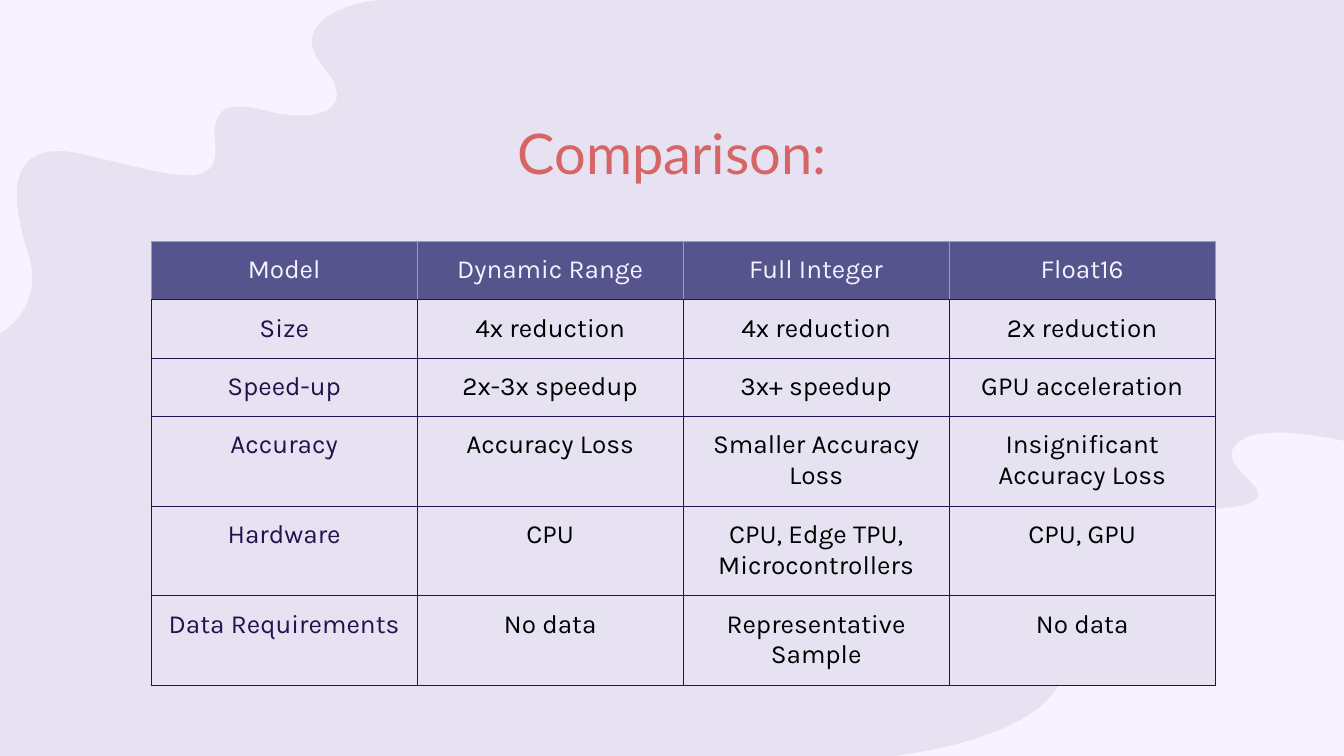
from lxml import etree
from pptx import Presentation
from pptx.dml.color import RGBColor
from pptx.enum.text import MSO_ANCHOR, PP_ALIGN
from pptx.oxml.ns import qn
from pptx.util import Pt

CENTER = PP_ALIGN.CENTER
TOP = MSO_ANCHOR.TOP

LAVENDER = RGBColor(0xE7, 0xE2, 0xF2)
PALE = RGBColor(0xF6, 0xF2, 0xFF)
CORAL = RGBColor(0xD6, 0x65, 0x65)
INDIGO = RGBColor(0x56, 0x54, 0x8C)
NAVY = RGBColor(0x20, 0x12, 0x4D)
GRAY = RGBColor(0x9E, 0x9E, 0x9E)
BLACK = RGBColor(0, 0, 0)

INSET = Pt(7.2)

# Outlines in points from the blob's origin: one pair makes a line,
# three pairs make a cubic curve (two controls and an end point).
TOP_LEFT_BLOB = [
    [(15.1, 136.1)],
    [(8.6, 114.5), (-2.9, 71.3), (45.4, 82.8)],
    [(94.3, 94.3), (118.1, 103), (115.2, 76.3)],
    [(112.3, 51.8), (130.3, 56.2), (144.7, 59.8)],
    [(156.2, 62.6), (175, 64.1), (180, 54)],
    [(181.4, 49.7), (180, 43.9), (172.8, 35.3)],
    [(153.4, 11.5), (188.6, 0), (205.9, 0)],
    [(0, 0)],
    [(0, 178.6)],
    [(0, 178.6), (24.5, 165.6), (15.1, 136.1)],
]
BOTTOM_RIGHT_BLOB = [
    [(230.4, 0)],
    [(218.9, 0), (208.8, 2.2), (205.9, 9.4)],
    [(200.2, 25.2), (262.1, 41.8), (164.2, 41.8)],
    [(139, 41.8)],
    [(25.2, 41.8), (0, 77.8), (0, 77.8)],
    [(13.7, 96.5), (110.9, 71.3), (115.9, 118.8)],
    [(121, 165.6), (15.9, 174.3), (15.9, 174.3)],
    [(268.6, 174.3)],
    [(268.6, 5.1)],
    [(268.6, 5.1), (247.7, 0), (230.4, 0)],
]

COMPARISON = [
    ("Model", "Dynamic Range", "Full Integer", "Float16"),
    ("Size", "4x reduction", "4x reduction", "2x reduction"),
    ("Speed-up", "2x-3x speedup", "3x+ speedup", "GPU acceleration"),
    ("Accuracy", "Accuracy Loss", "Smaller Accuracy Loss",
     "Insignificant Accuracy Loss"),
    ("Hardware", "CPU", "CPU, Edge TPU, Microcontrollers", "CPU, GPU"),
    ("Data Requirements", "No data", "Representative Sample", "No data"),
]


def write_text(frame, text, *, font, size, color):
    frame.word_wrap = True
    paragraph = frame.paragraphs[0]
    paragraph.alignment = CENTER
    run = paragraph.add_run()
    run.text = text
    run.font.name = font
    run.font.size = Pt(size)
    run.font.bold = False
    run.font.color.rgb = color


def bend_curves(blob, outline):
    """Join the three lines of each curved segment into one cubic curve."""
    lines = iter(list(blob._element.iter(qn("a:lnTo"))))
    for segment in outline[1:]:
        group = [next(lines) for _ in segment]
        if len(group) == 3:
            curve = etree.Element(qn("a:cubicBezTo"))
            group[0].addprevious(curve)
            for line in group:
                curve.append(line[0])
                line.getparent().remove(line)


def add_blob(slide, left, top, outline):
    points = [(Pt(x), Pt(y)) for segment in outline for x, y in segment]
    builder = slide.shapes.build_freeform(*points[0])
    builder.add_line_segments(points[1:], close=True)
    blob = builder.convert_to_shape(Pt(left), Pt(top))
    bend_curves(blob, outline)
    blob.shadow.inherit = False
    blob.fill.solid()
    blob.fill.fore_color.rgb = PALE
    blob.line.fill.background()


def add_title(slide, left, top, width, height):
    title = slide.shapes.add_textbox(Pt(left), Pt(top), Pt(width), Pt(height))
    frame = title.text_frame
    frame.vertical_anchor = TOP
    frame.margin_left = frame.margin_right = INSET
    frame.margin_top = frame.margin_bottom = INSET
    write_text(frame, "Comparison:", font="Lato", size=30, color=CORAL)


def set_borders(cell, side_colors):
    properties = cell._tc.get_or_add_tcPr()
    for position, (side, color) in enumerate(side_colors.items()):
        border = etree.Element(qn("a:ln" + side), w=str(Pt(0.75)))
        fill = etree.SubElement(border, qn("a:solidFill"))
        etree.SubElement(fill, qn("a:srgbClr"), val=str(color))
        properties.insert(position, border)


def add_comparison(slide, left, top, width, height):
    """Rows share the height evenly and grow where labels wrap."""
    row_count, column_count = len(COMPARISON), len(COMPARISON[0])
    table = slide.shapes.add_table(
        row_count, column_count, Pt(left), Pt(top), Pt(width),
        Pt(height)).table
    table.first_row = False
    table.horz_banding = False
    for column in table.columns:
        column.width = Pt(width / column_count)

    for r, labels in enumerate(COMPARISON):
        table.rows[r].height = Pt(height / row_count)
        header = r == 0
        edge = GRAY if header else NAVY
        for c, label in enumerate(labels):
            cell = table.cell(r, c)
            cell.margin_left = cell.margin_right = INSET
            cell.margin_top = cell.margin_bottom = INSET
            cell.fill.solid()
            cell.fill.fore_color.rgb = INDIGO if header else LAVENDER
            set_borders(cell, {"L": edge, "R": edge, "T": edge, "B": NAVY})
            color = PALE if header else NAVY if c == 0 else BLACK
            write_text(cell.text_frame, label, font="Karla", size=14,
                       color=color)


def main():
    deck = Presentation()
    deck.slide_width, deck.slide_height = Pt(720), Pt(405)
    slide = deck.slides.add_slide(deck.slide_layouts[6])
    slide.background.fill.solid()
    slide.background.fill.fore_color.rgb = LAVENDER

    # Corner decoration
    add_blob(slide, 0, 0, TOP_LEFT_BLOB)
    add_blob(slide, 454.3, 231.8, BOTTOM_RIGHT_BLOB)

    # Heading and table
    add_title(slide, 56.7, 56.2, 606.6, 45.4)
    add_comparison(slide, 81, 129.4, 570, 180)

    deck.save("out.pptx")


if __name__ == "__main__":
    main()
